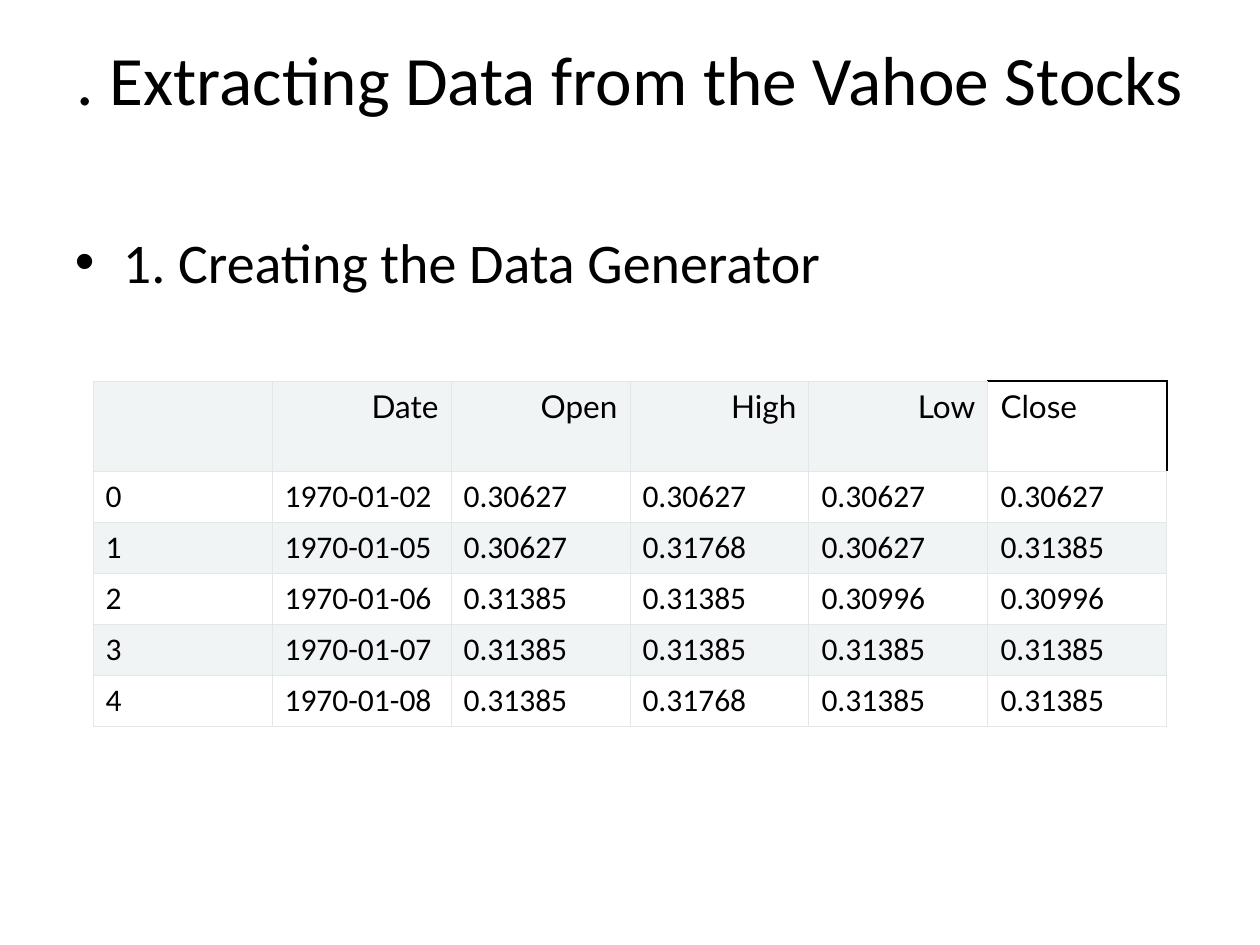
from lxml.etree import SubElement
from pptx import Presentation
from pptx.dml.color import RGBColor
from pptx.enum.text import MSO_ANCHOR, PP_ALIGN
from pptx.oxml.ns import qn
from pptx.util import Pt

SCALE = 914400 // 126
COLOURS = {"ink": "000000", "band": "F0F4F5", "plain": "FFFFFF", "grid": "E3E7E8"}
TITLE = ". Extracting Data from the Vahoe Stocks"
STEP = "1. Creating the Data Generator"
HEADINGS = ["", "Date", "Open", "High", "Low", "Close"]
PRICES = [
    ("1970-01-02", "0.30627", "0.30627", "0.30627", "0.30627"),
    ("1970-01-05", "0.30627", "0.31768", "0.30627", "0.31385"),
    ("1970-01-06", "0.31385", "0.31385", "0.30996", "0.30996"),
    ("1970-01-07", "0.31385", "0.31385", "0.31385", "0.31385"),
    ("1970-01-08", "0.31385", "0.31768", "0.31385", "0.31385"),
]
TABLE_LEFT, TABLE_TOP, COLUMN_WIDTH = 93, 381, 179
HEADING_HEIGHT, ROW_HEIGHT = 90, 51


def px(length):
    """Turn pixels into EMU."""
    return length * SCALE


def add_run(paragraph, words, size, font):
    """Add one run of black text."""
    run = paragraph.add_run()
    run.text = words
    run.font.size = Pt(size)
    run.font.name = font
    run.font.color.rgb = RGBColor.from_string(COLOURS["ink"])


def add_line(slide, box, words, size, inset):
    """Add a text box and return its only paragraph."""
    frame = slide.shapes.add_textbox(*map(px, box)).text_frame
    frame.word_wrap = True
    frame.margin_left = frame.margin_right = px(inset)
    frame.margin_top = frame.margin_bottom = px(inset // 2)
    add_run(frame.paragraphs[0], words, size, "Calibri")
    return frame.paragraphs[0]


def add_bullet(paragraph, indent):
    """Give a paragraph a hanging round bullet."""
    properties = paragraph._p.get_or_add_pPr()
    properties.set("marL", str(px(indent)))
    properties.set("indent", str(-px(indent)))
    SubElement(properties, qn("a:buFont"), typeface="Arial")
    SubElement(properties, qn("a:buChar"), char="•")


def set_borders(cell, dark_sides):
    """Draw the four cell edges, the dark sides in black."""
    properties = cell._tc.get_or_add_tcPr()
    for place, side in enumerate("LRTB"):
        dark = side in dark_sides
        edge = SubElement(properties, qn(f"a:ln{side}"), w=str(Pt(1 if dark else 0.6)))
        fill = SubElement(edge, qn("a:solidFill"))
        SubElement(fill, qn("a:srgbClr"), val=COLOURS["ink" if dark else "grid"])
        properties.insert(place, edge)


def fill_cell(cell, words, row, column):
    """Write and style one cell of the price table."""
    heading = row == 0
    last_heading = heading and column == len(HEADINGS) - 1
    banded = row % 2 == 0 and not last_heading
    cell.fill.solid()
    cell.fill.fore_color.rgb = RGBColor.from_string(COLOURS["band" if banded else "plain"])
    cell.vertical_anchor = MSO_ANCHOR.TOP if heading else MSO_ANCHOR.MIDDLE
    paragraph = cell.text_frame.paragraphs[0]
    paragraph.alignment = PP_ALIGN.RIGHT if heading and not last_heading else PP_ALIGN.LEFT
    if words:
        add_run(paragraph, words, 18, "Lato" if heading else "Calibri")
    set_borders(cell, "RT" if last_heading else "")


def add_prices(slide):
    """Add the table with its heading row and numbered price rows."""
    rows = [HEADINGS] + [(str(number), *day) for number, day in enumerate(PRICES)]
    height = HEADING_HEIGHT + ROW_HEIGHT * len(PRICES)
    box = (TABLE_LEFT, TABLE_TOP, COLUMN_WIDTH * len(HEADINGS), height)
    table = slide.shapes.add_table(len(rows), len(HEADINGS), *map(px, box)).table
    table.first_row = table.horz_banding = False
    for row, entries in enumerate(rows):
        table.rows[row].height = px(ROW_HEIGHT if row else HEADING_HEIGHT)
        for column, words in enumerate(entries):
            fill_cell(table.cell(row, column), words, row, column)


deck = Presentation()
deck.slide_width, deck.slide_height = px(1260), px(945)
slide = deck.slides.add_slide(deck.slide_layouts[6])
title = add_line(slide, (63, 36, 1134, 157), TITLE, 39.6, 0)
title.alignment = PP_ALIGN.CENTER
step = add_line(slide, (63, 221, 1134, 624), STEP, 32, 12)
add_bullet(step, 48)
add_prices(slide)
deck.save("out.pptx")
